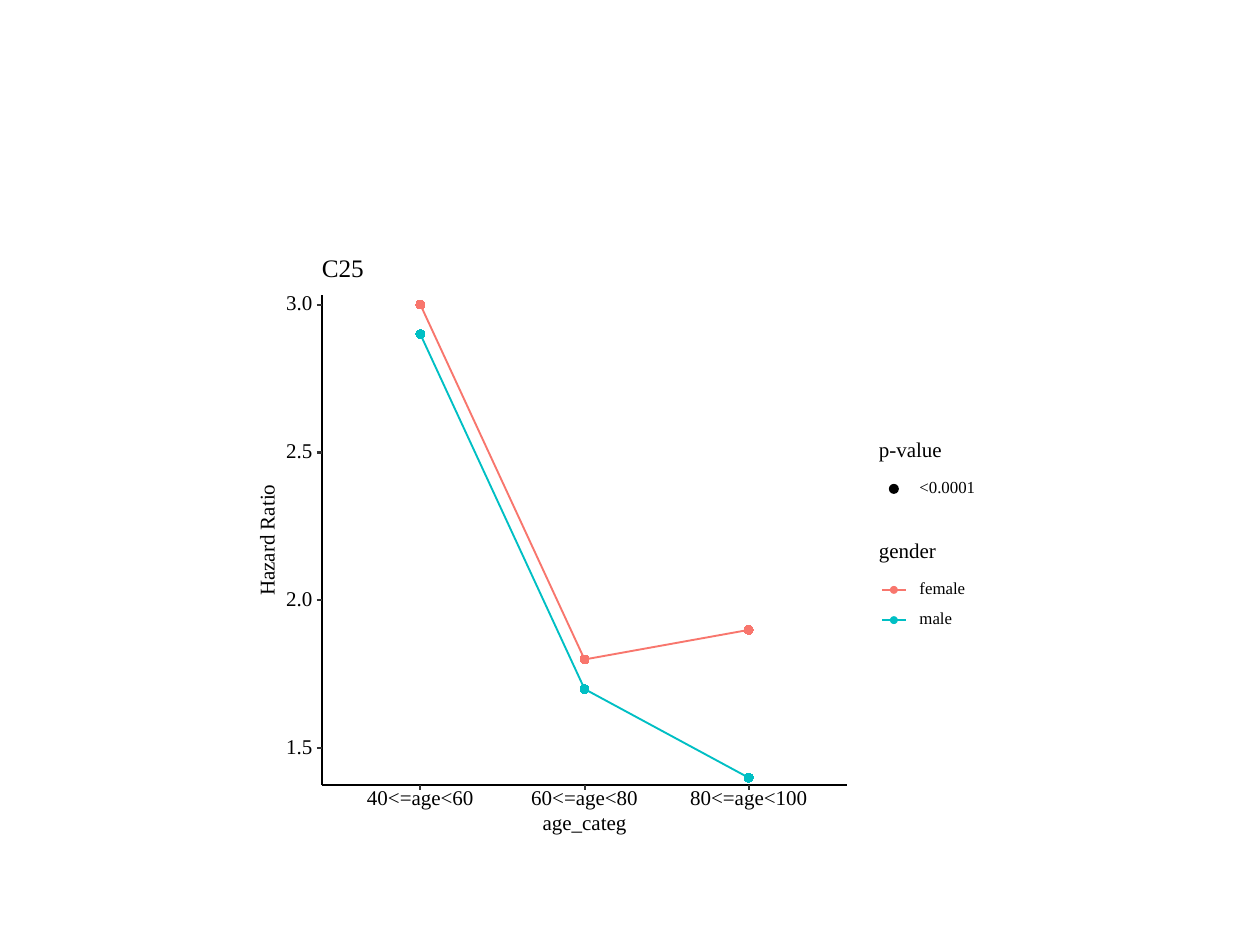
"""Build a slide with a line chart of hazard ratio by age and gender."""
from dataclasses import dataclass

from pptx import Presentation
from pptx.chart import data
from pptx.dml import color
from pptx.enum import chart as ch, shapes, text
from pptx.oxml import parse_xml, xmlchemy
from pptx.util import Pt

FONT = "Times New Roman"
BLACK, GRAY, RED, TEAL = "000000", "333333", "F8766D", "00BFC4"
LEFT, RIGHT, BASE, TOP = 183.9, 484.2, 448.7, 168.3
LOW, HIGH = 1.3, 3.1
STEP = (RIGHT - LEFT) / 3.2
AGES = ("40<=age<60", "60<=age<80", "80<=age<100")
RATES = {"female": (3.0, 1.8, 1.9), "male": (2.9, 1.7, 1.4)}
HUES = {"female": RED, "male": TEAL}
MID = text.PP_ALIGN.CENTER
LAYOUT = (
    '<c:layout xmlns:c="http://schemas.openxmlformats.org/drawingml/2006/chart">'
    '<c:manualLayout><c:layoutTarget val="inner"/><c:xMode val="edge"/>'
    '<c:yMode val="edge"/><c:x val="0"/><c:y val="0"/><c:w val="1"/>'
    '<c:h val="1"/></c:manualLayout></c:layout>'
)


@dataclass
class Label:
    """Text in a box placed by its left edge and its middle height."""
    words: str
    left: float
    mid: float
    width: float
    size: float = 12
    align: text.PP_ALIGN = text.PP_ALIGN.LEFT
    turn: float = 0


@dataclass
class Rule:
    """A straight line between two points."""
    x1: float
    y1: float
    x2: float
    y2: float
    hue: str = BLACK
    weight: float = 1.07


@dataclass
class Dot:
    """A round legend key placed by its centre."""
    x: float
    y: float
    size: float
    hue: str


def rgb(hue: str) -> color.RGBColor:
    """Turn a hex string into a colour."""
    return color.RGBColor.from_string(hue)


def level(rate: float) -> float:
    """Give the height on the slide of a hazard ratio."""
    return 174.1 + (3 - rate) * 169


def place(shape, label: Label) -> None:
    """Move a text shape into place and format its words."""
    high = label.size
    shape.left, shape.top = Pt(label.left), Pt(label.mid - high / 2)
    shape.width, shape.height = Pt(label.width), Pt(high)
    shape.rotation = label.turn
    frame = shape.text_frame
    frame.text = label.words
    frame.word_wrap = False
    frame.auto_size = text.MSO_AUTO_SIZE.NONE
    frame.vertical_anchor = text.MSO_ANCHOR.MIDDLE
    frame.margin_left = frame.margin_right = 0
    frame.margin_top = frame.margin_bottom = 0
    para = frame.paragraphs[0]
    para.alignment = label.align
    para.line_spacing = Pt(label.size)
    font = para.runs[0].font
    font.name, font.size = FONT, Pt(label.size)
    font.color.rgb = rgb(BLACK)


def write(slide, label: Label) -> None:
    """Add a text box."""
    place(slide.shapes.add_textbox(0, 0, 0, 0), label)


def draw(slide, rule: Rule) -> None:
    """Add a line without a shadow."""
    line = slide.shapes.add_connector(
        shapes.MSO_CONNECTOR.STRAIGHT,
        Pt(rule.x1), Pt(rule.y1), Pt(rule.x2), Pt(rule.y2))
    line.line.color.rgb = rgb(rule.hue)
    line.line.width = Pt(rule.weight)
    line.element.spPr.append(xmlchemy.OxmlElement("a:effectLst"))


def stamp(slide, dot: Dot) -> None:
    """Add a filled circle."""
    half = dot.size / 2
    disc = slide.shapes.add_shape(
        shapes.MSO_SHAPE.OVAL, Pt(dot.x - half), Pt(dot.y - half),
        Pt(dot.size), Pt(dot.size))
    disc.shadow.inherit = False
    disc.fill.solid()
    disc.fill.fore_color.rgb = rgb(dot.hue)
    disc.line.color.rgb = rgb(dot.hue)
    disc.line.width = Pt(0.71)


def plot(slide) -> None:
    """Add the line chart so that it fills its whole frame."""
    rows = data.CategoryChartData(number_format="0.0")
    rows.categories = AGES
    for name, rates in RATES.items():
        rows.add_series(name, rates)
    chart = slide.shapes.add_chart(
        ch.XL_CHART_TYPE.LINE_MARKERS, Pt(LEFT + STEP / 10), Pt(level(HIGH)),
        Pt(3 * STEP), Pt(level(LOW) - level(HIGH)), rows).chart
    chart.has_title = chart.has_legend = False
    chart.font.name, chart.font.size = FONT, Pt(12)
    chart.font.color.rgb = rgb(BLACK)
    axis = chart.value_axis
    axis.minimum_scale, axis.maximum_scale = LOW, HIGH
    axis.has_major_gridlines = False
    axis.visible = chart.category_axis.visible = False
    area = chart.element.chart.plotArea
    for old in area.findall("{*}layout"):
        area.remove(old)
    area.insert(0, parse_xml(LAYOUT))
    chart.plots[0].vary_by_categories = False
    for line in chart.plots[0].series:
        hue = rgb(HUES[line.name])
        line.smooth = False
        line.format.line.color.rgb = hue
        line.format.line.width = Pt(1.07)
        mark = line.marker
        mark.style, mark.size = ch.XL_MARKER_STYLE.CIRCLE, 5
        mark.format.fill.solid()
        mark.format.fill.fore_color.rgb = hue
        mark.format.line.color.rgb = hue


def axes(slide) -> None:
    """Draw both axes with ticks, labels and names."""
    draw(slide, Rule(LEFT, BASE, LEFT, TOP))
    draw(slide, Rule(LEFT, BASE, RIGHT, BASE))
    for rate in (1.5, 2.0, 2.5, 3.0):
        y = level(rate)
        draw(slide, Rule(LEFT - 2.8, y, LEFT, y, GRAY, 1.16))
        write(slide, Label(f"{rate:.1f}", 163.5, y - 0.3, 15))
    for spot, age in enumerate(AGES):
        x = LEFT + (spot + 0.6) * STEP
        draw(slide, Rule(x, BASE, x, BASE + 2.8, GRAY, 1.16))
        write(slide, Label(age, x - 33.5, 456.8, 67, align=MID))
    mid = (LEFT + RIGHT) / 2
    write(slide, Label("age_categ", mid - 24, 470.9, 48, align=MID))
    write(slide, Label("Hazard Ratio", 121.7, 308.7, 63.4, align=MID, turn=270))


def legend(slide) -> None:
    """Draw the keys for p-value and gender."""
    write(slide, Label("p-value", 502.2, 258.1, 36))
    stamp(slide, Dot(510.8, 279.4, 5, BLACK))
    write(slide, Label("<0.0001", 525.4, 279, 32, 9.6))
    write(slide, Label("gender", 502.2, 315.7, 32.4))
    for row, (name, hue) in enumerate(HUES.items()):
        y = 337.1 + row * 17.28
        draw(slide, Rule(504, y, 517.8, y, hue))
        stamp(slide, Dot(510.8, y, 3.8, hue))
        write(slide, Label(name, 525.4, y - 0.5, 26, 9.6))


def main() -> None:
    """Make and save the slide."""
    deck = Presentation()
    deck.slide_width, deck.slide_height = Pt(720), Pt(540)
    slide = deck.slides.add_slide(deck.slide_layouts[5])
    place(slide.shapes.title, Label("C25", LEFT, 154.3, 24, 14.4))
    plot(slide)
    axes(slide)
    legend(slide)
    deck.save("out.pptx")


if __name__ == "__main__":
    main()
